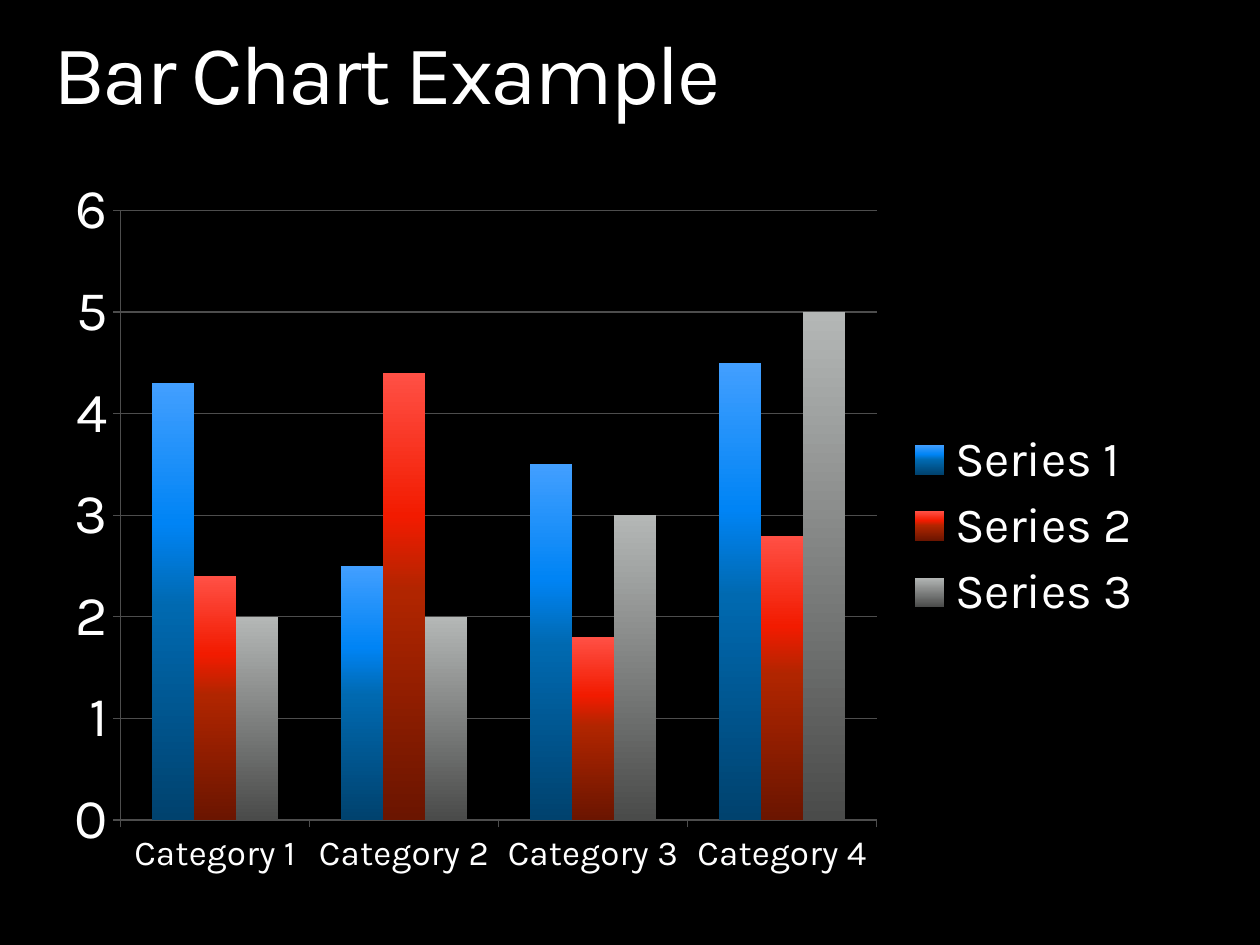
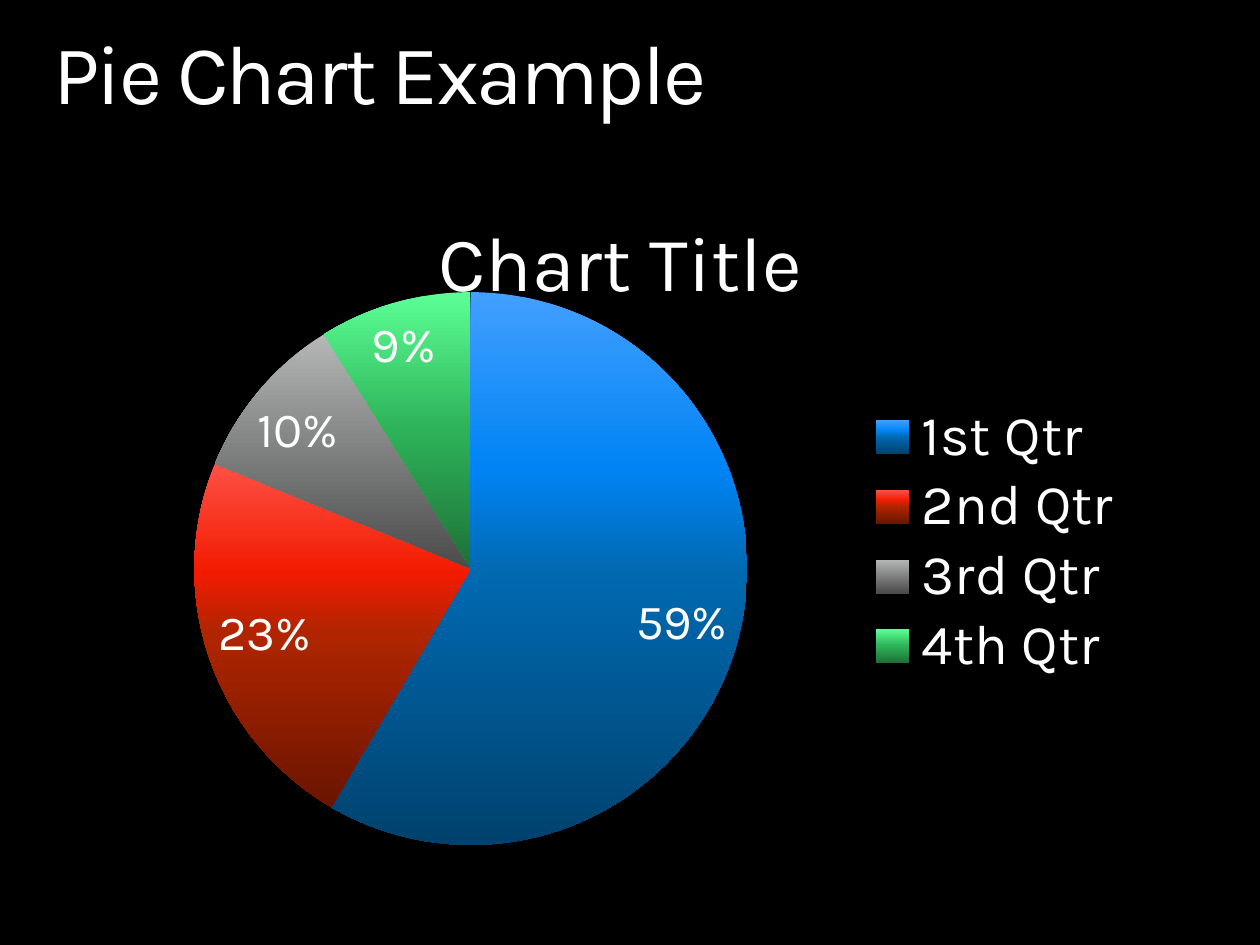
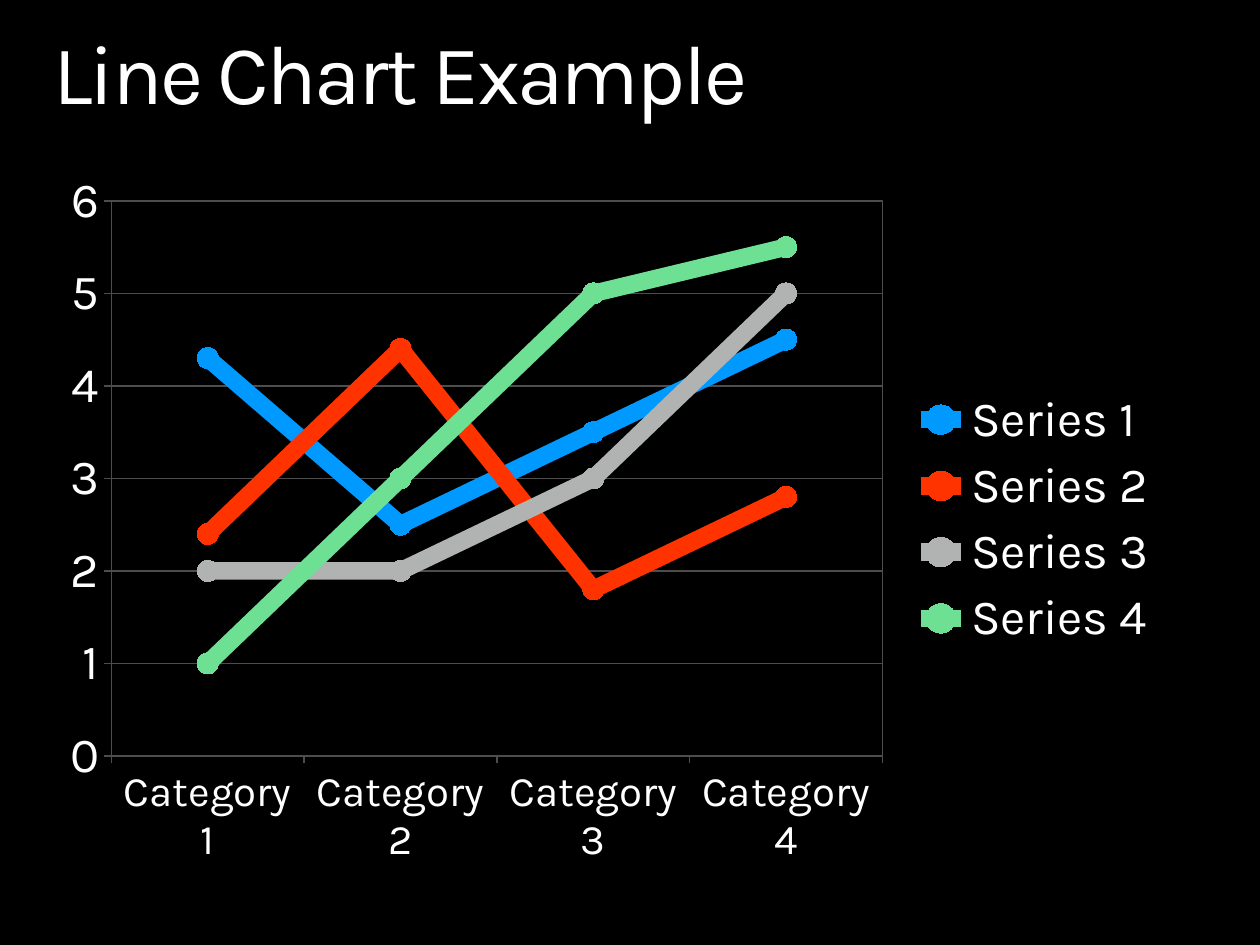
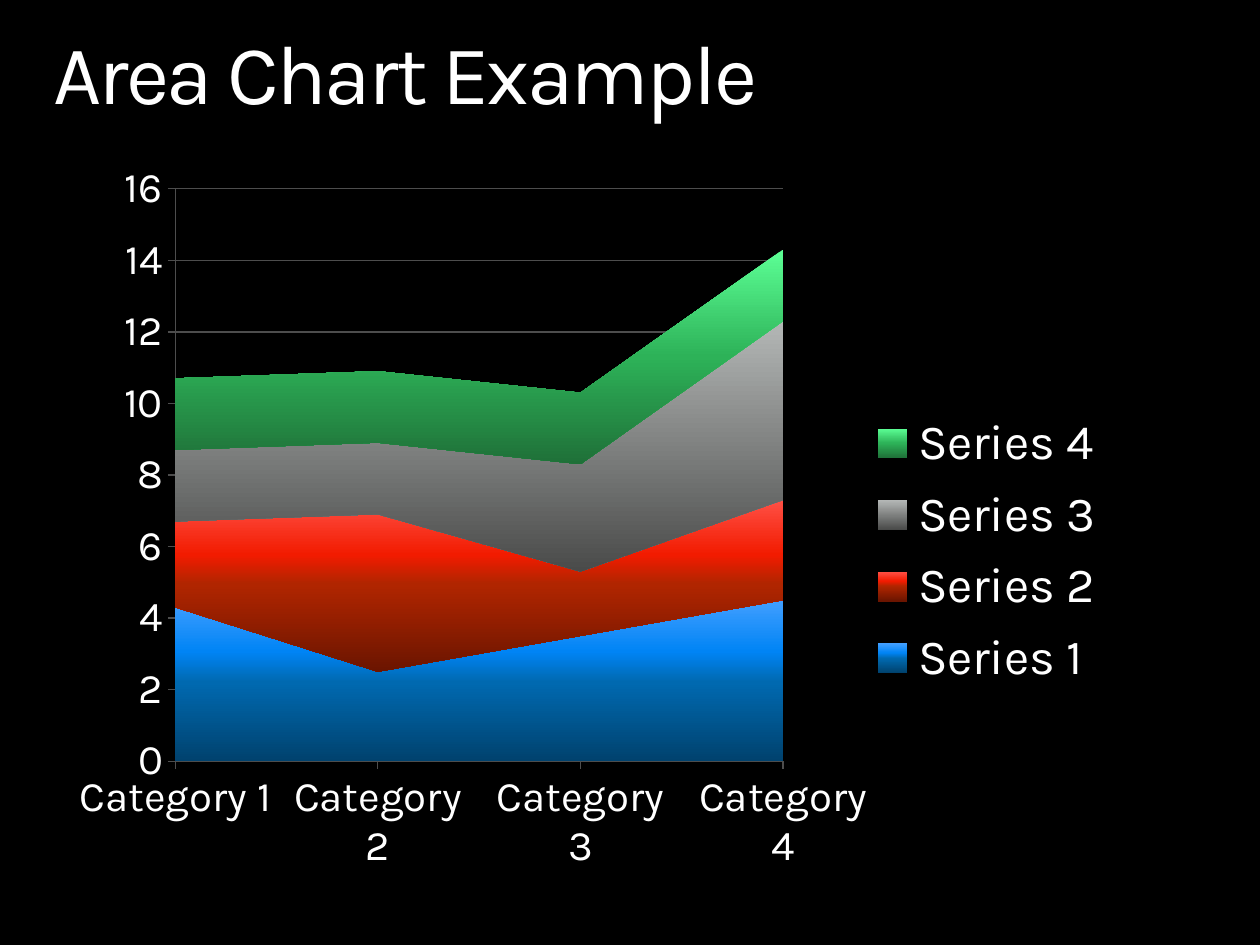
import pptx
import pptx.chart.data
import pptx.dml.color
import pptx.enum.chart
import pptx.enum.text
import pptx.oxml
import pptx.oxml.ns
import pptx.util

Cm, Pt = pptx.util.Cm, pptx.util.Pt
Kind = pptx.enum.chart.XL_CHART_TYPE

FONT, WHITE, BLACK, GRID = "Karla", "FFFFFF", "000000", "4D4D4D"
TITLE_BOX = (1.07, 0.64, 23.29, 1.85)
TITLE_FADE = [(42, "FFFFFF"), (80, "9F9F9F")]
FLAT = ["0099FF", "FF3300", "B0B3B2", "6EE094"]
FADES = [
    [(0, "429FFF"), (32, "0084F5"), (51, "0069B0"), (100, "00426E")],
    [(0, "FF5045"), (32, "F21B00"), (49, "B02500"), (100, "6B1500")],
    [(0, "B4B7B6"), (100, "4A4B4A")],
    [(0, "5CFF95"), (50, "2DB258"), (100, "1F7038")],
]

CATEGORIES = [f"Category {n}" for n in range(1, 5)]
SERIES = [
    ("Series 1", (4.3, 2.5, 3.5, 4.5)),
    ("Series 2", (2.4, 4.4, 1.8, 2.8)),
    ("Series 3", (2, 2, 3, 5)),
]

SLIDES = [
    dict(title="Bar Chart Example", kind=Kind.COLUMN_CLUSTERED,
         box=(1.06, 3.29, 22.3, 14.63), cats=CATEGORIES, series=SERIES,
         legend=28, axes=(20, 32), scale=(6, 1)),
    dict(title="Pie Chart Example", kind=Kind.PIE,
         box=(1.73, 3.58, 21.56, 13.59),
         cats=["1st Qtr", "2nd Qtr", "3rd Qtr", "4th Qtr"],
         series=[("Chart Title", (59, 23, 10, 9))],
         legend=32, legend_place=(0.73, 0.33, 0.24, 0.42)),
    dict(title="Line Chart Example", kind=Kind.LINE_MARKERS,
         box=(0.96, 3.19, 22.73, 14.55), cats=CATEGORIES,
         series=SERIES + [("Series 4", (1, 3, 5, 5.5))],
         legend=28, axes=(24, 28), scale=(6, 1), frame=True),
    dict(title="Area Chart Example", kind=Kind.AREA_STACKED,
         box=(1.41, 3.02, 21.74, 14.83), cats=CATEGORIES,
         series=SERIES + [("Series 4", (2, 2, 2, 2))],
         legend=28, legend_place=(0.74, 0.34, 0.22, 0.41),
         axes=(24, 24), scale=(16, 2)),
]
PIE_PLACE = (0, 0.17, 0.72, 0.82)


def rgb(color):
    return pptx.dml.color.RGBColor.from_string(color)


def xml(tag, inner):
    return pptx.oxml.parse_xml(f'<{tag} {pptx.oxml.ns.nsdecls("a", "c")}>{inner}</{tag}>')


def fade(stops):
    marks = "".join(f'<a:gs pos="{pos * 1000}"><a:srgbClr val="{color}"/></a:gs>' for pos, color in stops)
    return xml("a:gradFill", f'<a:gsLst>{marks}</a:gsLst><a:lin ang="5400000" scaled="0"/>')


def clear_area(line=None):
    stroke = f'<a:solidFill><a:srgbClr val="{line}"/></a:solidFill>' if line else "<a:noFill/>"
    return xml("c:spPr", f'<a:noFill/><a:ln w="9525">{stroke}</a:ln>')


def place(element, sides, index, target=""):
    for old in element.findall(pptx.oxml.ns.qn("c:layout")):
        element.remove(old)
    values = "".join(f'<c:{side} val="{value}"/>' for side, value in zip("xywh", sides))
    modes = '<c:xMode val="edge"/><c:yMode val="edge"/>'
    element.insert(index, xml("c:layout", f"<c:manualLayout>{target}{modes}{values}</c:manualLayout>"))


def style_font(font, size):
    font.name, font.size, font.bold = FONT, Pt(size), False
    font.color.rgb = rgb(WHITE)


def style_line(line, color, width):
    line.color.rgb = rgb(color)
    line.width = Pt(width)


def add_title(s, text):
    sp = s.shapes.title
    sp.left, sp.top, sp.width, sp.height = map(Cm, TITLE_BOX)
    tf = sp.text_frame
    tf.margin_left = tf.margin_right = tf.margin_top = tf.margin_bottom = 0
    tf.auto_size = pptx.enum.text.MSO_AUTO_SIZE.NONE
    tf.vertical_anchor = pptx.enum.text.MSO_ANCHOR.MIDDLE
    p = tf.paragraphs[0]
    p.alignment = pptx.enum.text.PP_ALIGN.LEFT
    p.line_spacing = 0.9
    r = p.add_run()
    r.text = text
    r.font.name, r.font.size = FONT, Pt(48)
    props = r.font._element
    props.set("spc", "-150")
    props.insert(0, fade(TITLE_FADE))


def style_axes(chart, sizes, scale):
    for axis, size in zip((chart.category_axis, chart.value_axis), sizes):
        style_font(axis.tick_labels.font, size)
        style_line(axis.format.line, GRID, 0.75)
        axis.major_tick_mark = pptx.enum.chart.XL_TICK_MARK.OUTSIDE
        axis.minor_tick_mark = pptx.enum.chart.XL_TICK_MARK.NONE
    chart.category_axis.has_major_gridlines = False
    axis = chart.value_axis
    axis.minimum_scale = 0
    axis.maximum_scale, axis.major_unit = scale
    axis.has_major_gridlines = True
    style_line(axis.major_gridlines.format.line, GRID, 0.75)


def style_lines(plot):
    for ser, color in zip(plot.series, FLAT):
        ser.smooth = False
        style_line(ser.format.line, color, 10)
        ser.marker.style = pptx.enum.chart.XL_MARKER_STYLE.CIRCLE
        ser.marker.size = 12
        ser.marker.format.fill.solid()
        ser.marker.format.fill.fore_color.rgb = rgb(color)
        ser.marker.format.line.fill.background()


def style_fills(parts):
    for part, stops in zip(parts, FADES):
        part.format._element.get_or_add_spPr().insert(0, fade(stops))


def style_pie(chart, plot, area):
    style_fills(plot.series[0].points[i] for i in range(len(plot.categories)))
    r = chart.chart_title.text_frame.paragraphs[0].add_run()
    r.text = plot.series[0].name
    style_font(r.font, 44)
    plot.has_data_labels = True
    labels = plot.data_labels
    labels.show_value = True
    labels.number_format, labels.number_format_is_linked = '0"%"', False
    labels.position = pptx.enum.chart.XL_LABEL_POSITION.BEST_FIT
    style_font(labels.font, 28)
    place(area, PIE_PLACE, 0, '<c:layoutTarget val="inner"/>')


def add_chart(s, kind, box, cats, series, legend, legend_place=None, axes=None, scale=None, frame=False):
    data = pptx.chart.data.CategoryChartData()
    data.categories = cats
    for name, values in series:
        data.add_series(name, values)
    chart = s.shapes.add_chart(kind, *map(Cm, box), data).chart
    is_pie = kind == Kind.PIE
    style_font(chart.font, 18)
    chart.has_title = is_pie
    chart.has_legend = True
    chart.legend.position = pptx.enum.chart.XL_LEGEND_POSITION.RIGHT
    chart.legend.include_in_layout = False
    style_font(chart.legend.font, legend)
    if legend_place:
        place(chart.legend._element, legend_place, 1)
    plot = chart.plots[0]
    plot.vary_by_categories = is_pie
    space = chart._chartSpace
    space.find(pptx.oxml.ns.qn("c:txPr")).addprevious(clear_area())
    area = space.chart.plotArea
    area.append(clear_area(GRID if frame else None))
    if is_pie:
        style_pie(chart, plot, area)
        return
    style_axes(chart, axes, scale)
    if kind == Kind.LINE_MARKERS:
        style_lines(plot)
    else:
        style_fills(plot.series)
    if kind == Kind.COLUMN_CLUSTERED:
        plot.gap_width, plot.overlap = 150, 0


def main():
    prs = pptx.Presentation()
    prs.slide_width, prs.slide_height = Cm(25.4), Cm(19.05)
    fill = prs.slide_master.background.fill
    fill.solid()
    fill.fore_color.rgb = rgb(BLACK)
    for content in SLIDES:
        s = prs.slides.add_slide(prs.slide_layouts[5])
        add_title(s, content["title"])
        add_chart(s, **{key: value for key, value in content.items() if key != "title"})
    prs.save("out.pptx")


if __name__ == "__main__":
    main()
